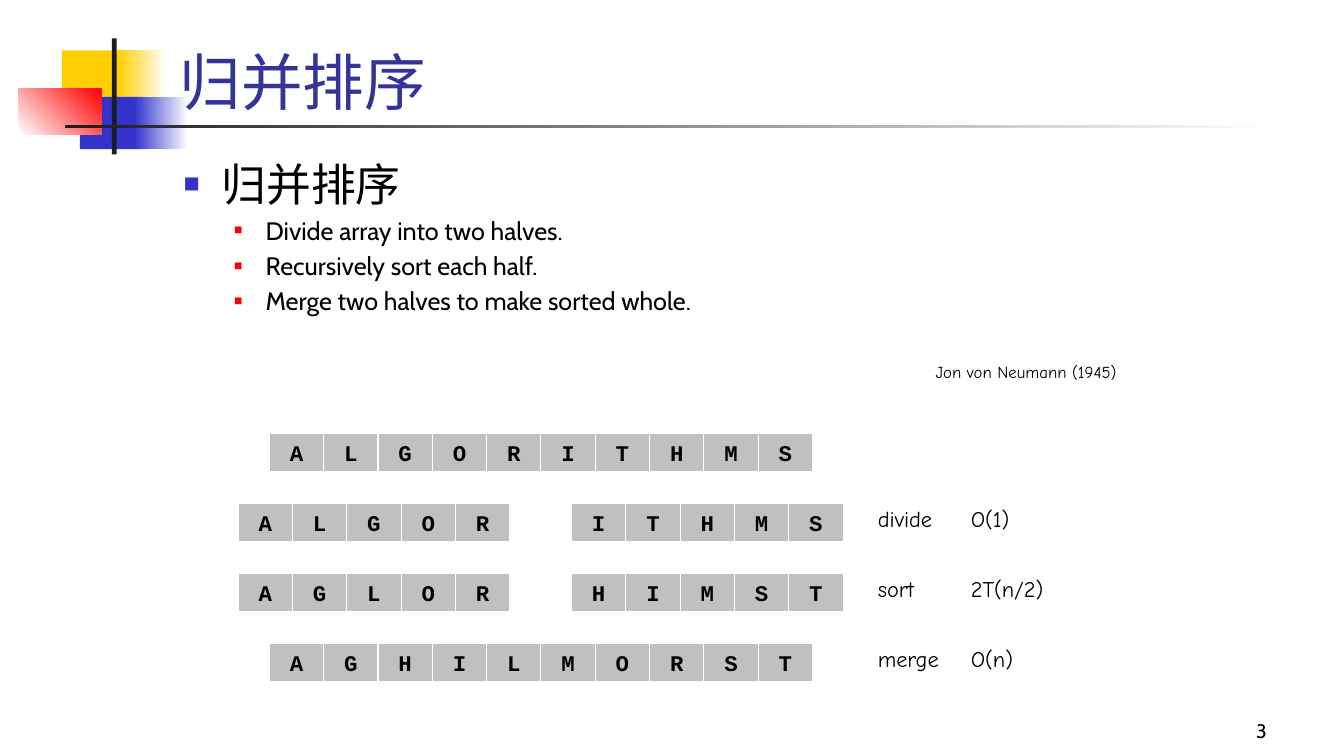
from dataclasses import dataclass

from lxml import etree
from pptx import Presentation
from pptx.dml.color import RGBColor
from pptx.enum.shapes import MSO_SHAPE
from pptx.enum.text import MSO_ANCHOR, MSO_AUTO_SIZE, PP_ALIGN
from pptx.oxml.ns import qn
from pptx.util import Pt

RECTANGLE = MSO_SHAPE.RECTANGLE
LEFT, CENTER, RIGHT = PP_ALIGN.LEFT, PP_ALIGN.CENTER, PP_ALIGN.RIGHT
TOP, MIDDLE, BOTTOM = MSO_ANCHOR.TOP, MSO_ANCHOR.MIDDLE, MSO_ANCHOR.BOTTOM


@dataclass(frozen=True)
class Theme:
    heading: str = "333399"
    text: str = "000000"
    white: str = "FFFFFF"
    yellow: str = "FFCF01"
    blue: str = "3333CC"
    red: str = "FF0000"
    dark: str = "1C1C1C"
    cell: str = "C0C0C0"
    body_font: str = "Cabin"
    note_font: str = "Comic Neue"
    code_font: str = "Courier New"
    title_size: float = 44
    topic_size: float = 32
    point_size: float = 18
    diagram_size: float = 16
    number_size: float = 14
    credit_size: float = 12


THEME = Theme()

# Array strips: left edge, row and letters
CELL_WIDTH, CELL_HEIGHT = 38.8, 27.2
FIRST_ROW, ROW_PITCH = 309.8, 50
WHOLE_LEFT, LEFT_HALF, RIGHT_HALF = 192.4, 170.1, 408.2
STRIPS = [
    (WHOLE_LEFT, 0, "ALGORITHMS"),
    (LEFT_HALF, 1, "ALGOR"),
    (RIGHT_HALF, 1, "ITHMS"),
    (LEFT_HALF, 2, "AGLOR"),
    (RIGHT_HALF, 2, "HIMST"),
    (WHOLE_LEFT, 3, "AGHILMORST"),
]

# Steps: row, name, name width, cost, cost width
STEP_LEFT, COST_LEFT = 620, 686.4
STEPS = [
    (1, "divide", 78, "O(1)", 50.4),
    (2, "sort", 66, "2T(n/2)", 74.2),
    (3, "merge", 78, "O(n)", 55.4),
]


def rgb(color):
    return RGBColor.from_string(color)


def row_top(row):
    return FIRST_ROW + row * ROW_PITCH


def write(paragraph, text, *, size, font=THEME.body_font, color=THEME.text,
          bold=False, align=LEFT):
    paragraph.alignment = align
    run = paragraph.add_run()
    run.text = text
    run.font.name = font
    run.font.size = Pt(size)
    run.font.bold = bold
    run.font.color.rgb = rgb(color)


def place(shape, left, top, width, height):
    shape.left, shape.top = Pt(left), Pt(top)
    shape.width, shape.height = Pt(width), Pt(height)


def add_rectangle(shapes, box, fill=None, line=None):
    shape = shapes.add_shape(RECTANGLE, *map(Pt, box))
    shape.shadow.inherit = False
    if fill:
        shape.fill.solid()
        shape.fill.fore_color.rgb = rgb(fill)
    else:
        shape.fill.background()
    if line:
        shape.line.color.rgb = rgb(line)
        shape.line.width = Pt(0.75)
    else:
        shape.line.fill.background()
    return shape


def add_fade(shapes, box, start, end, angle=0):
    fill = add_rectangle(shapes, box).fill
    fill.gradient()
    fill.gradient_angle = angle
    for stop, color, position in zip(fill.gradient_stops, (start, end), (0, 1)):
        stop.color.rgb = rgb(color)
        stop.position = position


def add_text_box(shapes, box, text, anchor=TOP, **text_format):
    frame = shapes.add_textbox(*map(Pt, box)).text_frame
    frame.word_wrap = True
    frame.vertical_anchor = anchor
    write(frame.paragraphs[0], text, **text_format)


def add_label(shapes, box, text):
    frame = add_rectangle(shapes, box, line=THEME.white).text_frame
    frame.word_wrap = True
    frame.vertical_anchor = TOP
    write(frame.paragraphs[0], text, size=THEME.diagram_size, font=THEME.note_font)


def add_strip(slide, left, row, letters):
    shapes = slide.shapes.add_group_shape().shapes
    for index, letter in enumerate(letters):
        box = (left + index * CELL_WIDTH, row_top(row), CELL_WIDTH, CELL_HEIGHT)
        frame = add_rectangle(shapes, box, THEME.cell, THEME.white).text_frame
        frame.word_wrap = False
        frame.vertical_anchor = MIDDLE
        write(frame.paragraphs[0], letter, size=THEME.diagram_size,
              font=THEME.code_font, bold=True, align=CENTER)


def add_bullet(paragraph, color, percent, margin, hanging):
    properties = paragraph._p.get_or_add_pPr()
    properties.set("marL", str(Pt(margin)))
    properties.set("indent", str(-Pt(hanging)))
    bullet_color = etree.SubElement(properties, qn("a:buClr"))
    etree.SubElement(bullet_color, qn("a:srgbClr"), val=color)
    etree.SubElement(properties, qn("a:buSzPct"), val=str(percent * 1000))
    etree.SubElement(properties, qn("a:buFont"), typeface="Arial")
    etree.SubElement(properties, qn("a:buChar"), char="■")


def prepare_placeholder(shape, box, anchor):
    # Bring the text in front of the ornament
    shape.element.getparent().append(shape.element)
    place(shape, *box)
    frame = shape.text_frame
    frame.auto_size = MSO_AUTO_SIZE.NONE
    frame.word_wrap = True
    frame.vertical_anchor = anchor
    return frame


def add_ornament(shapes):
    add_rectangle(shapes, (44.2, 36, 46, 37.4), THEME.yellow)
    add_fade(shapes, (84.2, 36, 34.6, 37.4), THEME.yellow, THEME.white)
    add_rectangle(shapes, (57, 69.1, 44.6, 37.4), THEME.blue)
    add_fade(shapes, (95.8, 69.1, 38.6, 37.4), THEME.blue, THEME.white)
    add_fade(shapes, (13.4, 63, 59, 33.4), THEME.white, THEME.red, angle=45)
    add_rectangle(shapes, (80, 27.4, 3.4, 82.8), THEME.dark)
    add_fade(shapes, (46.6, 89.3, 864, 2.5), THEME.dark, THEME.white)


def fill_body(frame):
    topic = frame.paragraphs[0]
    add_bullet(topic, THEME.blue, 60, margin=27, hanging=27)
    topic.space_before = Pt(0)
    write(topic, "归并排序", size=THEME.topic_size)
    for text in ("Divide array into two halves.", "Recursively sort each half.",
                 "Merge two halves to make sorted whole."):
        point = frame.add_paragraph()
        point.level = 1
        add_bullet(point, THEME.red, 55, margin=58.5, hanging=22.5)
        point.space_before = Pt(3.6)
        write(point, text, size=THEME.point_size)


def main():
    presentation = Presentation()
    presentation.slide_width, presentation.slide_height = Pt(960), Pt(540)
    slide = presentation.slides.add_slide(presentation.slide_layouts[1])
    shapes = slide.shapes
    add_ornament(shapes)

    # Title and list
    title = prepare_placeholder(shapes.title, (121, -2, 818, 90), BOTTOM)
    write(title.paragraphs[0], "归并排序", size=THEME.title_size, color=THEME.heading)
    fill_body(prepare_placeholder(slide.placeholders[1], (124, 108, 816, 324), TOP))

    # Merge sort diagram
    for left, row, letters in STRIPS:
        add_strip(slide, left, row, letters)
    for row, step, step_width, cost, cost_width in STEPS:
        top = row_top(row) - 2.2
        add_label(shapes, (STEP_LEFT, top, step_width, 26.6), step)
        add_label(shapes, (COST_LEFT, top, cost_width, 26.6), cost)

    # Credit and slide number
    add_text_box(shapes, (653.8, 254.9, 158.4, 21.8), "Jon von Neumann (1945)",
                 size=THEME.credit_size, font=THEME.note_font, align=CENTER)
    add_text_box(shapes, (712, 498, 200, 36), "3", anchor=BOTTOM,
                 size=THEME.number_size, align=RIGHT)
    presentation.save("out.pptx")


if __name__ == "__main__":
    main()
